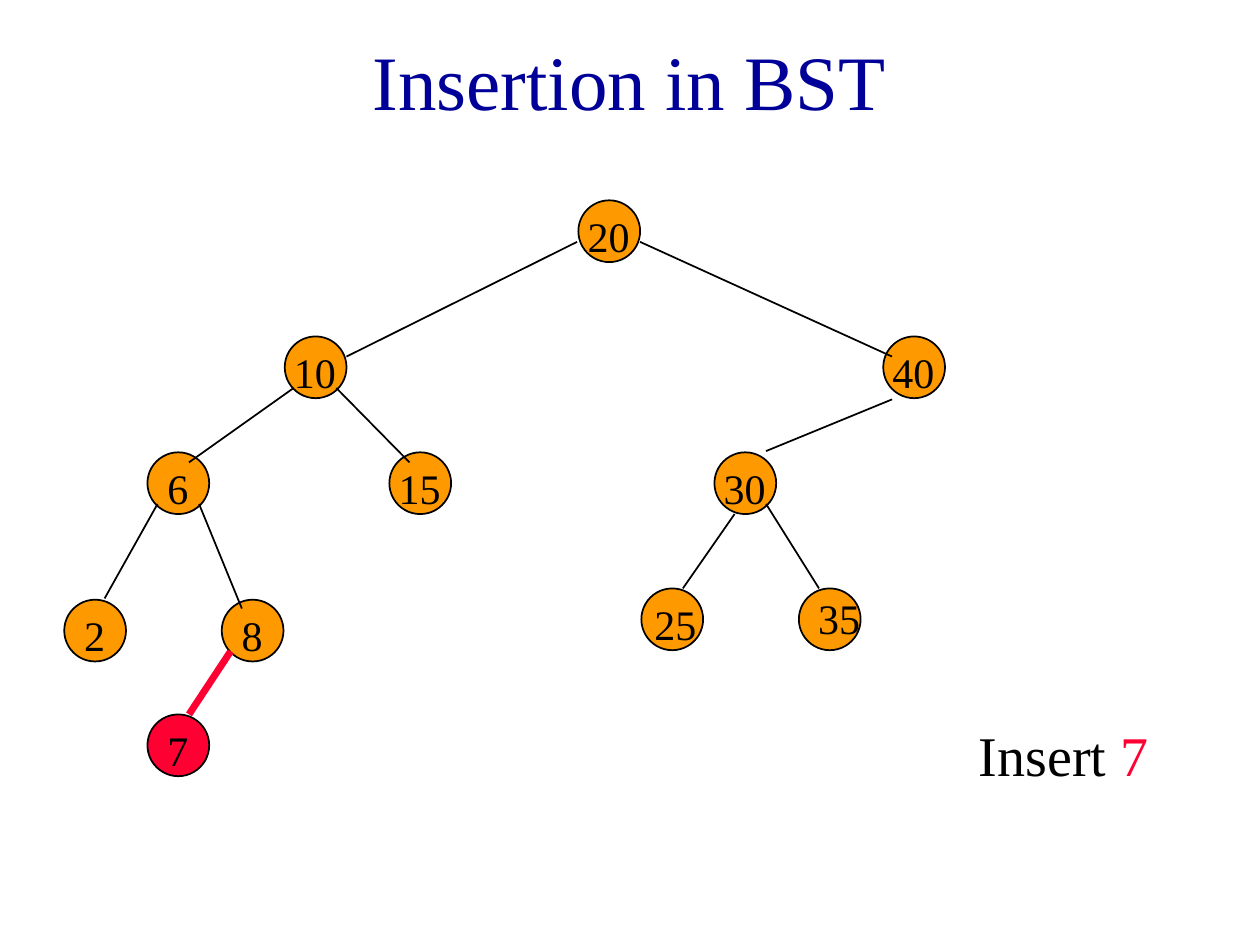
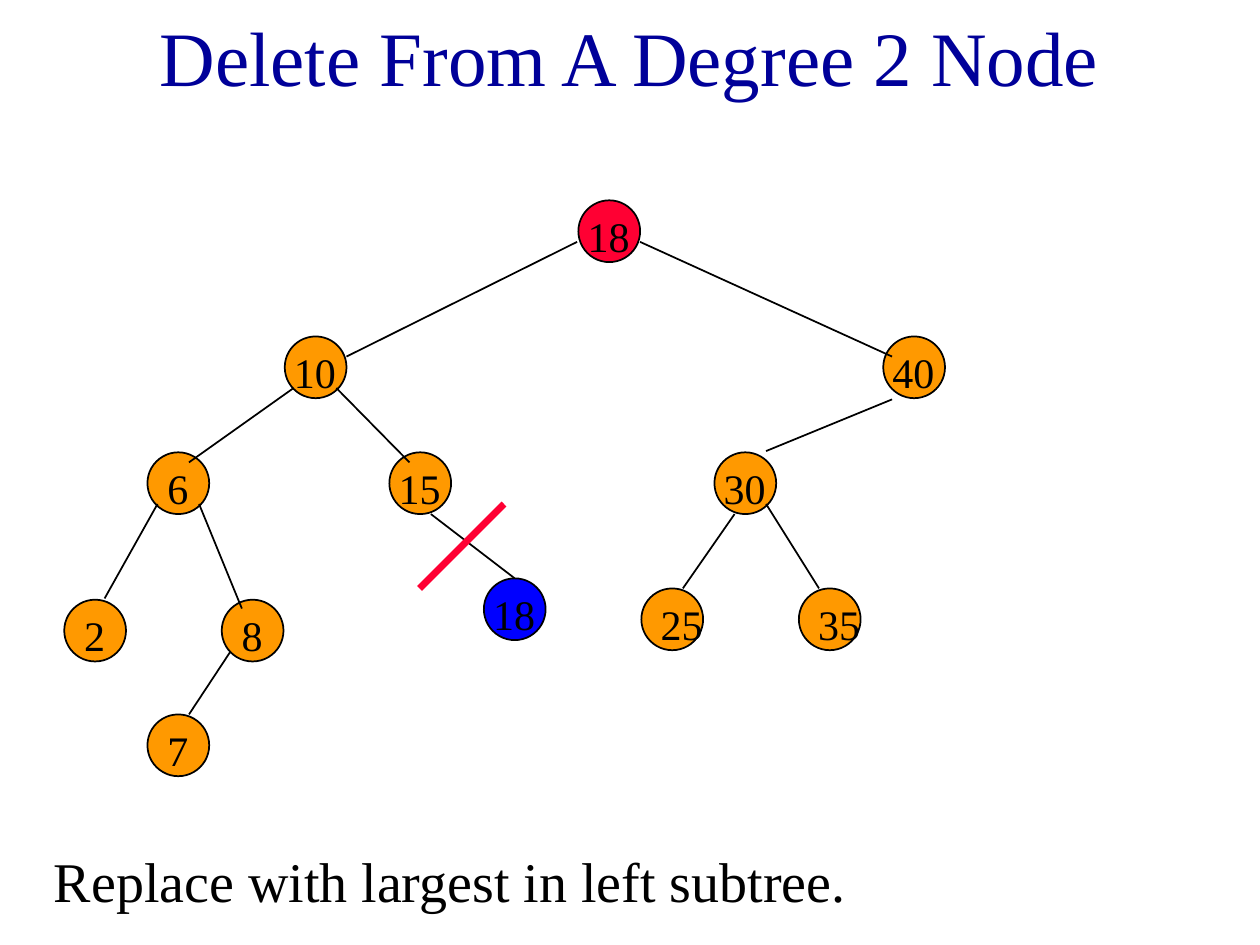
"""Build two slides on inserting into and deleting from a binary search tree."""
from dataclasses import dataclass

from lxml.etree import SubElement
from pptx import Presentation
from pptx.dml.color import RGBColor as Color
from pptx.enum.shapes import MSO_CONNECTOR as Connector, MSO_SHAPE as Shape
from pptx.enum.text import MSO_ANCHOR as Anchor, MSO_AUTO_SIZE as AutoSize, PP_ALIGN as Align
from pptx.oxml.ns import qn
from pptx.util import Inches, Pt


@dataclass(frozen=True)
class Theme:
    font: str = "Times New Roman"
    title: str = "000099"
    ink: str = "000000"
    node: str = "FF9900"
    accent: str = "FF0033"
    moved: str = "0000FF"
    title_size: int = 44
    caption_size: int = 32
    label_size: int = 24
    thin: int = 1
    thick: int = 4


THEME = Theme()
DIAMETER = 0.49
LABEL_DROP = 0.03
LABEL_HEIGHT = 0.5
LABEL_WIDTHS = {1: 0.37, 2: 0.54}

NODES = {
    "20": (4.59, 1.59),
    "10": (2.26, 2.67), "40": (7.01, 2.67),
    "6": (1.17, 3.59), "15": (3.09, 3.59), "30": (5.67, 3.59),
    "2": (0.51, 4.76), "8": (1.76, 4.76),
    "25": (5.09, 4.67), "35": (6.34, 4.67),
    "7": (1.17, 5.67),
}
EDGES = {
    ("20", "10"): (4.58, 1.92, 2.75, 2.83),
    ("20", "40"): (5.08, 1.92, 7.08, 2.83),
    ("10", "6"): (2.33, 3.08, 1.5, 3.67),
    ("10", "15"): (2.67, 3.08, 3.25, 3.67),
    ("40", "30"): (7.08, 3.17, 6.08, 3.58),
    ("6", "2"): (1.25, 4, 0.83, 4.75),
    ("6", "8"): (1.58, 4, 1.92, 4.83),
    ("30", "25"): (5.83, 4.08, 5.42, 4.67),
    ("30", "35"): (6.08, 4, 6.5, 4.67),
    ("8", "7"): (1.83, 5.17, 1.5, 5.67),
}
INSERTION = {
    "title": "Insertion in BST",
    "title_top": 0.01,
    "caption": [("Insert ", THEME.ink), ("7", THEME.accent)],
    "caption_box": (7.67, 5.67, 2.33, 0.63),
    "fills": {"7": THEME.accent},
    "new_edge": ("8", "7"),
    "label_shifts": {"25": (0.03, 0), "35": (0.08, -0.05)},
}
DELETION = {
    "title": "Delete From A Degree 2 Node",
    "title_top": -0.18,
    "caption": [("Replace with largest in left subtree.", THEME.ink)],
    "caption_box": (0.33, 6.67, 9, 0.63),
    "fills": {"20": THEME.accent},
    "labels": {"20": "18"},
    "label_shifts": {"25": (0.08, 0), "35": (0.08, 0)},
}
MOVED_NODE = ("18", (3.84, 4.59))
MOVED_EDGE = (3.42, 4.08, 4.08, 4.58)
CUT_MARK = (4, 4, 3.33, 4.67)


def apply_format(target, values):
    for name, value in values.items():
        setattr(target, name, value)


def add_text(slide, box, runs, size, alignment=Align.LEFT, **frame_format):
    frame = slide.shapes.add_textbox(*map(Inches, box)).text_frame
    apply_format(frame, {"word_wrap": True, "auto_size": AutoSize.NONE, **frame_format})
    paragraph = frame.paragraphs[0]
    paragraph.alignment = alignment
    for text, color in runs:
        run = paragraph.add_run()
        run.text = text
        apply_format(run.font, {"name": THEME.font, "size": Pt(size)})
        run.font.color.rgb = Color.from_string(color)


def add_node(slide, position, fill):
    shape = slide.shapes.add_shape(Shape.OVAL, *map(Inches, (*position, DIAMETER, DIAMETER)))
    shape.shadow.inherit = False
    shape.fill.solid()
    shape.fill.fore_color.rgb = Color.from_string(fill)
    shape.line.color.rgb = Color.from_string(THEME.ink)
    shape.line.width = Pt(THEME.thin)
    return shape


def add_label(slide, text, position, shift=(0, 0)):
    width = LABEL_WIDTHS[len(text)]
    left = position[0] + (DIAMETER - width) / 2 + shift[0]
    top = position[1] + LABEL_DROP + shift[1]
    add_text(slide, (left, top, width, LABEL_HEIGHT), [(text, THEME.ink)],
             THEME.label_size, word_wrap=False, auto_size=AutoSize.SHAPE_TO_FIT_TEXT)


def add_line(slide, ends, color=THEME.ink, width=THEME.thin):
    line = slide.shapes.add_connector(Connector.STRAIGHT, *map(Inches, ends))
    line.line.color.rgb = Color.from_string(color)
    line.line.width = Pt(width)
    SubElement(line._element.spPr, qn("a:effectLst"))
    return line


def add_tree_slide(presentation, content):
    slide = presentation.slides.add_slide(presentation.slide_layouts[6])
    add_text(slide, (0.12, content["title_top"], 9.75, 1.25),
             [(content["title"], THEME.title)], THEME.title_size, Align.CENTER,
             vertical_anchor=Anchor.MIDDLE)
    add_text(slide, content["caption_box"], content["caption"], THEME.caption_size,
             auto_size=AutoSize.SHAPE_TO_FIT_TEXT)
    for key, position in NODES.items():
        add_node(slide, position, content["fills"].get(key, THEME.node))
    for pair, ends in EDGES.items():
        is_new = pair == content.get("new_edge")
        add_line(slide, ends, *((THEME.accent, THEME.thick) if is_new else ()))
    for key, position in NODES.items():
        text = content.get("labels", {}).get(key, key)
        add_label(slide, text, position, content["label_shifts"].get(key, (0, 0)))
    return slide


def add_moved_node(slide):
    text, position = MOVED_NODE
    node = add_node(slide, position, THEME.moved)
    add_label(slide, text, position)
    add_line(slide, MOVED_EDGE).end_connect(node, 0)
    add_line(slide, CUT_MARK, THEME.accent, THEME.thick)


def main():
    presentation = Presentation()
    apply_format(presentation, {"slide_width": Inches(10), "slide_height": Inches(7.5)})
    add_tree_slide(presentation, INSERTION)
    add_moved_node(add_tree_slide(presentation, DELETION))
    presentation.save("out.pptx")


if __name__ == "__main__":
    main()
